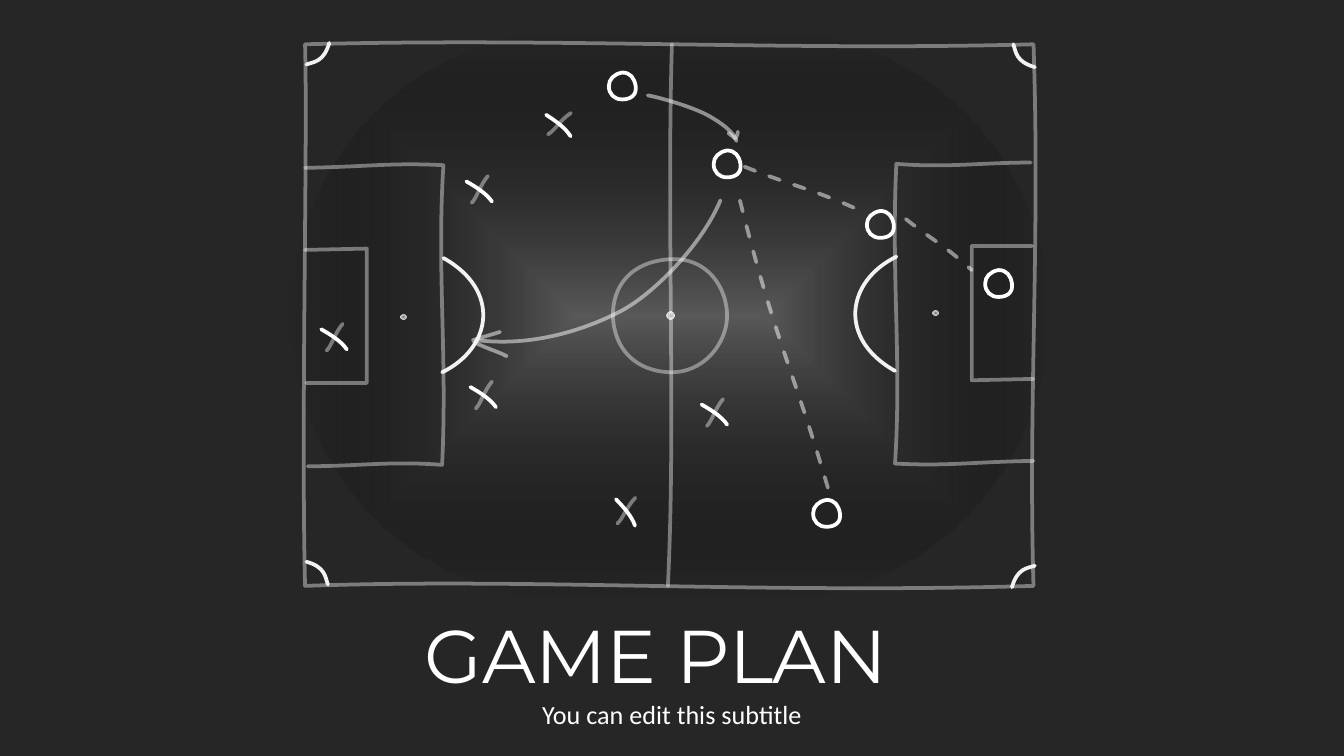
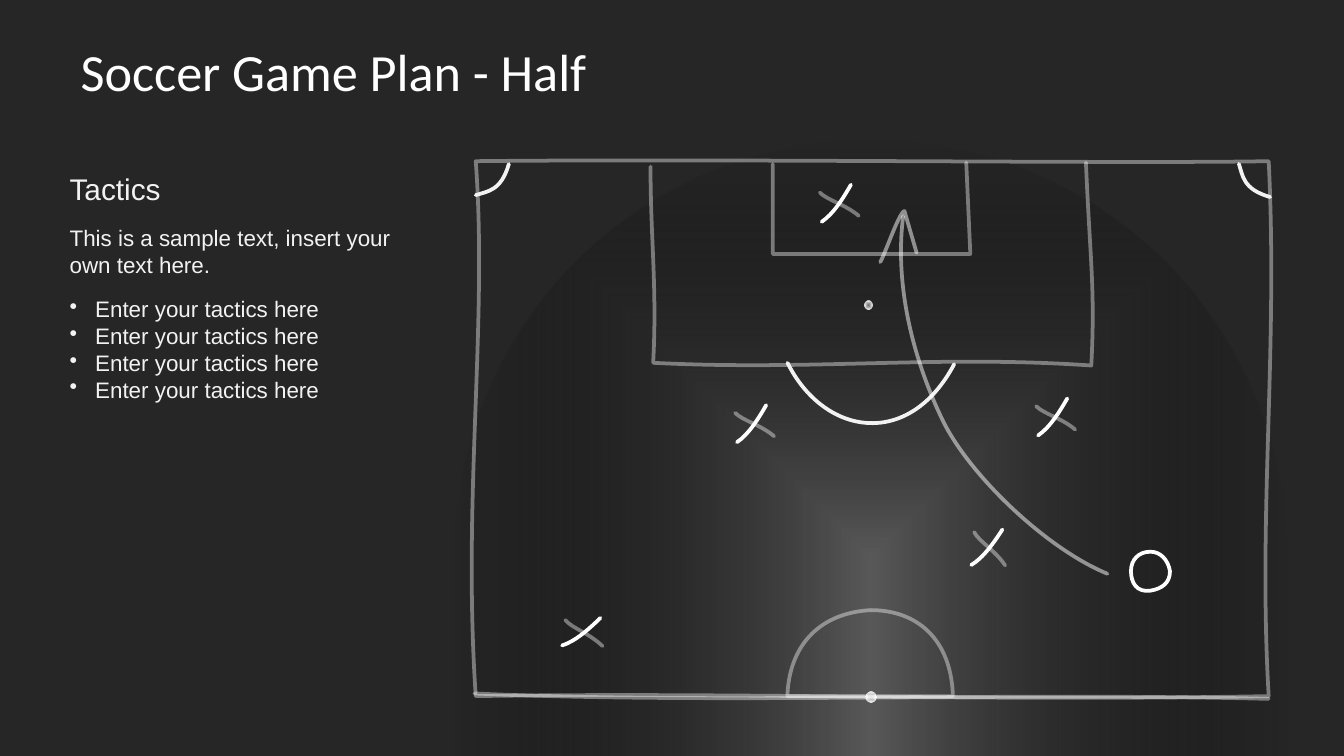
"""Build two soccer game plan slides drawn as a chalkboard."""
from math import cos, radians, sin

from pptx import Presentation
from pptx.dml.color import RGBColor
from pptx.enum.dml import MSO_LINE
from pptx.enum.shapes import MSO_SHAPE as Preset
from pptx.enum.text import MSO_ANCHOR as Anchor, MSO_AUTO_SIZE as AutoSize, PP_ALIGN as Align
from pptx.oxml import parse_xml
from pptx.oxml.ns import nsdecls, qn
from pptx.util import Inches, Pt

WIDTH = 10
HEIGHT = WIDTH * 9 / 16
MARGIN = 0.5
BAND = WIDTH - 2 * MARGIN

THEME = {
    "board": "262626",
    "glow": [(0, "595959", 100), (100, "000000", 0)],
    "spot": [(0, "FFFFFF", 30), (100, "FFFFFF", 100)],
    "metal": [(35, "A6A6A6", 100), (54, "FFFFFF", 100), (78, "BFBFBF", 100)],
    "line": 2,
    "strokes": {
        "pitch": ("FFFFFF", 40, None),
        "arc": ("F2F2F2", 100, None),
        "player": ("FFFFFF", 100, None),
        "run": ("FFFFFF", 50, None),
        "pass": ("FFFFFF", 50, MSO_LINE.DASH),
    },
    "text": {
        "cover": {"name": "Montserrat", "size": Pt(40), "bold": False},
        "subtitle": {"name": "Calibri", "size": Pt(14), "color": "FFFFFF"},
        "title": {"name": "Calibri", "size": Pt(28), "bold": False, "color": "FFFFFF"},
        "heading": {"name": "Arial", "size": Pt(16), "color": "F2F2F2"},
        "body": {"name": "Arial", "size": Pt(12), "color": "F2F2F2"},
    },
}

CORNER = "M 0 .16 C .06 .14 .13 .14 .17 0"
RING = ("M .1 0 C .09 -.06 .06 -.1 0 -.1 C -.06 -.09 -.1 -.05 -.1 0 "
        "C -.1 .06 -.06 .1 0 .1 C .06 .1 .11 .07 .1 0 Z")
CROSS = [("player", "M -.1 -.07 C -.03 -.03 .05 .02 .09 .08"),
         ("pitch", "M .06 -.11 C 0 -.04 -.02 .05 -.06 .09")]

PITCH_CENTRE = (4.98, 2.34)
PITCH_END = [
    ("pitch", "M 2.27 1.25 C 2.76 1.24 2.91 1.21 3.3 1.23 C 3.25 2.01 3.33 2.64 3.29 3.46 "
              "C 2.91 3.43 2.66 3.47 2.29 3.47"),
    ("pitch", "M 2.27 1.86 L 2.73 1.85 L 2.73 2.85 L 2.28 2.85"),
    ("arc", "M 3.3 1.92 C 3.73 2.16 3.66 2.59 3.29 2.77"),
]

FULL = {
    "glow": (2.16, 0.23, 5.64, 4.23, 0),
    "scale": 1,
    "turn": 0,
    "paths": [
        ("pitch", "M 2.27 .33 C 4.2 .28 5.83 .38 7.69 .33 C 7.74 1.78 7.65 3.02 7.69 4.36 "
                  "C 5.67 4.42 3.93 4.3 2.27 4.36 C 2.24 3.11 2.29 1.06 2.27 .33 Z"),
        ("pitch", "M 5 .33 C 4.96 1.71 5.03 3.14 4.97 4.36"),
        ("pitch", "M 5.41 2.35 C 5.41 2.15 5.27 1.91 4.98 1.93 C 4.7 1.95 4.56 2.12 4.56 2.35 "
                  "C 4.57 2.6 4.73 2.76 4.98 2.77 C 5.24 2.78 5.41 2.55 5.41 2.35 Z"),
        ("run", "M 5.36 1.49 C 5.23 1.81 4.86 2.2 4.59 2.33 C 4.31 2.47 3.93 2.58 3.54 2.53"),
        ("run", "M 3.72 2.47 L 3.52 2.53 C 3.52 2.56 3.72 2.62 3.77 2.65"),
        ("run", "M 4.82 .71 C 4.97 .74 5.18 .81 5.27 .86 C 5.36 .91 5.46 .98 5.48 1.05"),
        ("run", "M 5.42 .99 L 5.47 1.03 C 5.48 1.03 5.49 .99 5.49 .98"),
        ("pass", "M 6.74 1.63 C 6.94 1.79 7.01 1.81 7.23 2.01"),
        ("pass", "M 6.16 3.63 C 5.89 2.71 5.77 2.55 5.49 1.43"),
        ("pass", "M 5.54 1.24 C 5.91 1.39 6.07 1.41 6.45 1.59"),
    ],
    "corners": [(2.28, 0.32), (7.7, 0.33), (7.7, 4.37), (2.28, 4.35)],
    "spots": [(3, 2.36, 0.04), (6.96, 2.33, 0.04), (4.99, 2.35, 0.06)],
    "crosses": [(4.16, 0.93, 3, 16), (3.57, 1.42, 0, 0), (3.6, 2.95, 0, 0),
                (2.49, 2.52, 0, 0), (5.32, 3.08, 0, 0), (4.66, 3.81, 16, 4)],
    "rings": [(6.15, 3.82), (7.43, 2.11), (4.63, 0.64), (5.41, 1.22), (6.55, 1.67)],
}

HALF = {
    "glow": (2.35, 2.08, 8.26, 6.2, 90),
    "scale": 1.45,
    "turn": 90,
    "paths": [
        ("pitch", "M 9.44 1.2 C 9.51 2.62 9.36 3.82 9.44 5.18 C 7.31 5.22 5.5 5.15 3.54 5.18 "
                  "C 3.44 3.7 3.63 2.42 3.54 1.2 C 5.37 1.18 8.36 1.22 9.44 1.2 Z"),
        ("pitch", "M 8.08 1.21 C 8.11 1.93 8.15 2.15 8.12 2.72 C 6.97 2.64 6.05 2.76 4.86 2.7 "
                  "C 4.89 2.14 4.84 1.78 4.84 1.24"),
        ("pitch", "M 7.19 1.21 L 7.22 1.89 L 5.75 1.89 L 5.75 1.22"),
        ("arc", "M 7.1 2.71 C 6.76 3.35 6.13 3.24 5.86 2.7"),
        ("pitch", "M 9.44 5.2 C 7.42 5.15 5.33 5.24 3.53 5.16"),
        ("pitch", "M 6.48 4.54 C 6.82 4.54 7.07 4.75 7.09 5.16 C 7.09 5.17 7.09 5.18 7.09 5.18 "
                  "L 5.86 5.18 L 5.86 5.16 C 5.88 4.79 6.11 4.56 6.48 4.54 Z"),
        ("run", "M 8.24 4.27 C 7.78 4.08 7.22 3.54 7.02 3.14 C 6.82 2.73 6.65 2.17 6.72 1.61"),
        ("run", "M 6.82 1.88 L 6.73 1.57 C 6.69 1.58 6.59 1.88 6.55 1.95"),
    ],
    "corners": [(3.54, 1.22), (9.45, 1.22)],
    "spots": [(6.46, 2.27, 0.06), (6.48, 5.19, 0.08)],
    "crosses": [(7.35, 4.08, 3, 16), (7.84, 3.11, 0, 0), (5.6, 3.16, 0, 0),
                (6.23, 1.52, 0, 0), (4.33, 4.71, 16, 4)],
    "rings": [(8.56, 4.25)],
}

COVER = {"title": "GAME PLAN", "subtitle": "You can edit this subtitle"}
HALF_TITLE = "Soccer Game Plan - Half"
TACTICS = [
    (1.22, 0.37, "heading", ["Tactics"], False),
    (1.62, 0.5, "body", ["This is a sample text, insert your own text here."], False),
    (2.15, 0.91, "body", ["Enter your tactics here"] * 4, True),
]


def apply(target, values):
    """Set every attribute in a dict of format values."""
    for name, value in values.items():
        setattr(target, name, value)


def set_gradient(fill, holder, stops, shade):
    """Give a fill the gradient stops and shading of the theme."""
    fill.gradient()
    marks = "".join(
        f'<a:gs pos="{place * 1000}"><a:srgbClr val="{color}"><a:alpha val="{alpha * 1000}"/>'
        f"</a:srgbClr></a:gs>" for place, color, alpha in stops)
    gradient = parse_xml(f'<a:gradFill {nsdecls("a")} rotWithShape="1">'
                         f"<a:gsLst>{marks}</a:gsLst>{shade}</a:gradFill>")
    current = holder.find(qn("a:gradFill"))
    holder.replace(current, gradient)


def add_glow(slide, preset, box, stops, rotation=0):
    """Add a shape that shades from its centre outwards."""
    shape = slide.shapes.add_shape(preset, *map(Inches, box))
    apply(shape, {"rotation": rotation})
    shape.shadow.inherit = False
    shape.line.fill.background()
    centre = '<a:path path="shape"><a:fillToRect l="50000" t="50000" r="50000" b="50000"/></a:path>'
    set_gradient(shape.fill, shape._element.spPr, stops, centre)
    return shape


def draw(slide, stroke, outline, at=(0, 0), scale=1, turn=0):
    """Draw an outline of lines and curves, scaled, turned and moved."""
    across, down = cos(radians(turn)) * scale, sin(radians(turn)) * scale
    tokens = outline.split()
    commands = [token for token in tokens if token.isalpha()]
    numbers = [float(token) for token in tokens if not token.isalpha()]
    points = [(Inches(at[0] + x * across - y * down), Inches(at[1] + x * down + y * across))
              for x, y in zip(numbers[::2], numbers[1::2])]
    builder = slide.shapes.build_freeform(*points[0])
    builder.add_line_segments(points[1:], close="Z" in commands)
    shape = builder.convert_to_shape()
    steps = iter(list(shape._element.iter(qn("a:lnTo"))))
    for command in commands:
        if command == "L":
            next(steps)
        elif command == "C":
            curve = next(steps)
            curve.tag = qn("a:cubicBezTo")
            for step in (next(steps), next(steps)):
                curve.append(step[0])
                step.getparent().remove(step)
    color, alpha, dash = THEME["strokes"][stroke]
    shape.shadow.inherit = False
    shape.fill.background()
    shape.line.color.rgb = RGBColor.from_string(color)
    apply(shape.line, {"width": Pt(THEME["line"]), "dash_style": dash})
    line = shape._element.spPr.find(qn("a:ln"))
    line.set("cap", "rnd")
    if alpha < 100:
        tint = line.find(".//" + qn("a:srgbClr"))
        tint.append(parse_xml(f'<a:alpha {nsdecls("a")} val="{alpha * 1000}"/>'))


def draw_plan(slide, plan):
    """Draw the pitch, the moves and the players of a plan."""
    scale, turn = plan["scale"], plan["turn"]
    *box, rotation = plan["glow"]
    add_glow(slide, Preset.ROUNDED_RECTANGLE, box, THEME["glow"], rotation).adjustments[0] = 0.5
    for stroke, outline in plan["paths"]:
        draw(slide, stroke, outline)
    for index, corner in enumerate(plan["corners"]):
        draw(slide, "arc", CORNER, corner, scale, 90 * index)
    for x, y, size in plan["spots"]:
        add_glow(slide, Preset.OVAL, (x - size / 2, y - size / 2, size, size), THEME["spot"])
    for x, y, *tilts in plan["crosses"]:
        for (stroke, outline), tilt in zip(CROSS, tilts):
            draw(slide, stroke, outline, (x, y), scale, turn + tilt)
    for centre in plan["rings"]:
        draw(slide, "player", RING, centre, scale, turn)


def write(shape, box, style, lines, align=Align.LEFT, anchor=Anchor.TOP, bullets=False):
    """Place a text shape and fill it with formatted paragraphs."""
    apply(shape, dict(zip(("left", "top", "width", "height"), map(Inches, box))))
    frame = shape.text_frame
    apply(frame, {"word_wrap": True, "auto_size": AutoSize.NONE, "vertical_anchor": anchor})
    frame.text = "\n".join(lines)
    values = dict(THEME["text"][style])
    color = values.pop("color", None)
    for paragraph in frame.paragraphs:
        apply(paragraph, {"alignment": align, "space_before": Pt(0)})
        if bullets:
            properties = paragraph._p.get_or_add_pPr()
            properties.set("marL", str(Inches(0.19)))
            properties.set("indent", str(-Inches(0.19)))
            properties.append(parse_xml(f'<a:buChar {nsdecls("a")} char="•"/>'))
        for run in paragraph.runs:
            apply(run.font, values)
            if color:
                run.font.color.rgb = RGBColor.from_string(color)
            else:
                set_gradient(run.font.fill, run._r.rPr, THEME["metal"], '<a:lin ang="5400000"/>')


def add_slide(presentation, layout):
    """Add a slide with the dark board behind it."""
    slide = presentation.slides.add_slide(presentation.slide_layouts[layout])
    slide.background.fill.solid()
    slide.background.fill.fore_color.rgb = RGBColor.from_string(THEME["board"])
    return slide


def build_cover(presentation):
    """Build the cover with the full pitch."""
    slide = add_slide(presentation, 0)
    draw_plan(slide, FULL)
    opposite = tuple(2 * value for value in PITCH_CENTRE)
    for at, turn in (((0, 0), 0), (opposite, 180)):
        for stroke, outline in PITCH_END:
            draw(slide, stroke, outline, at, 1, turn)
    write(slide.shapes.title, (2.84, 4.48, 4.08, 0.77), "cover", [COVER["title"]], Align.CENTER)
    write(slide.placeholders[1], (MARGIN, 5.15, BAND, 0.42), "subtitle", [COVER["subtitle"]],
          Align.CENTER)


def build_half(presentation):
    """Build the half pitch with its tactics."""
    slide = add_slide(presentation, 5)
    draw_plan(slide, HALF)
    write(slide.shapes.title, (MARGIN, 0.23, BAND, 0.59), "title", [HALF_TITLE],
          anchor=Anchor.MIDDLE)
    for top, height, style, lines, bullets in TACTICS:
        box = (0.42, top, 2.66, height)
        shape = slide.shapes.add_textbox(*map(Inches, box))
        write(shape, box, style, lines, bullets=bullets)


def main():
    """Build and save the presentation."""
    presentation = Presentation()
    apply(presentation, {"slide_width": Inches(WIDTH), "slide_height": Inches(HEIGHT)})
    build_cover(presentation)
    build_half(presentation)
    presentation.save("out.pptx")


if __name__ == "__main__":
    main()
